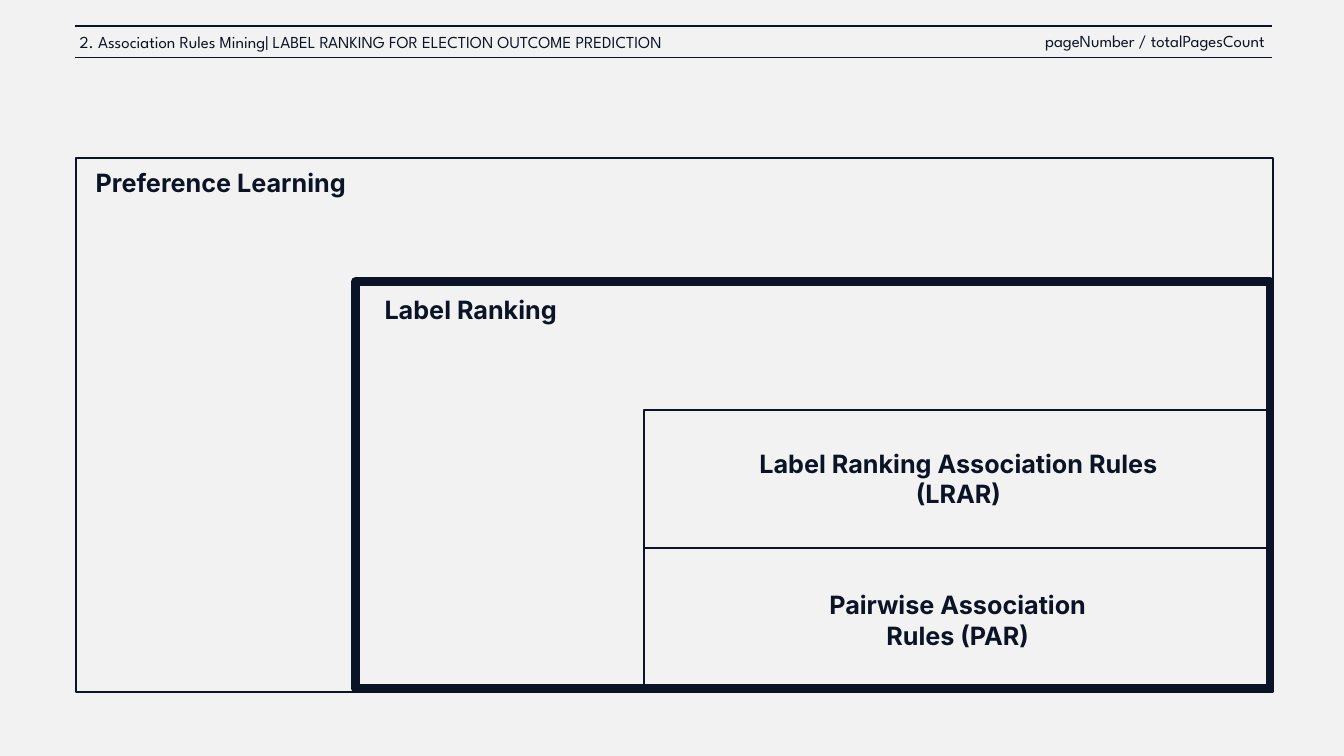
from lxml import etree
from pptx import Presentation
from pptx.dml.color import RGBColor
from pptx.enum.shapes import MSO_CONNECTOR, MSO_SHAPE
from pptx.enum.text import MSO_ANCHOR, PP_ALIGN
from pptx.oxml.ns import qn
from pptx.util import Pt

NAVY = RGBColor(0x0A, 0x14, 0x26)
PAPER = RGBColor(0xF2, 0xF2, 0xF2)
LEFT, CENTER, RIGHT = PP_ALIGN.LEFT, PP_ALIGN.CENTER, PP_ALIGN.RIGHT
TOP = MSO_ANCHOR.TOP
RECTANGLE = MSO_SHAPE.RECTANGLE
STRAIGHT = MSO_CONNECTOR.STRAIGHT
BLANK_LAYOUT = 6

HEADER_FONT = {"name": "League Spartan", "size": Pt(12), "bold": False}
LABEL_FONT = {"name": "Inter", "size": Pt(18), "bold": True}


def add_text(slide, text, box, font_format, alignment):
    text_box = slide.shapes.add_textbox(*map(Pt, box))
    frame = text_box.text_frame
    frame.word_wrap = True
    frame.vertical_anchor = TOP
    paragraph = frame.paragraphs[0]
    paragraph.alignment = alignment
    run = paragraph.add_run()
    run.text = text
    for attribute, value in font_format.items():
        setattr(run.font, attribute, value)
    run.font.color.rgb = NAVY


def add_rule(slide, left, right, y):
    rule = slide.shapes.add_connector(STRAIGHT, Pt(left), Pt(y), Pt(right), Pt(y))
    rule.line.color.rgb = NAVY
    rule.line.width = Pt(1)
    etree.SubElement(rule._element.spPr, qn("a:effectLst"))


def add_frame(slide, box, line_width):
    frame = slide.shapes.add_shape(RECTANGLE, *map(Pt, box))
    frame.shadow.inherit = False
    frame.fill.background()
    frame.line.color.rgb = NAVY
    frame.line.width = Pt(line_width)


def add_header(slide, box):
    """Section name and page count between two rules."""
    left, top, width, height = box
    for y in (top, top + height):
        add_rule(slide, left, left + width, y)
    add_text(slide,
             "2. Association Rules Mining| LABEL RANKING FOR ELECTION OUTCOME PREDICTION",
             (left - 3.5, top + 0.7, 678, 21.6), HEADER_FONT, LEFT)
    add_text(slide, "pageNumber / totalPagesCount",
             (left + width - 363, top, 365, 21.6), HEADER_FONT, RIGHT)


def add_nested_fields(slide, box):
    """Frames nested towards the bottom right corner, each with its label."""
    left, top, width, height = box

    # Frames: left and top offsets, right and bottom gaps, line width
    frames = [
        (0, 0, 0, 0, 1.5),
        (200, 88, 2, 2.7, 6),
        (406, 180, 0.7, 2.2, 1.5),
        (406, 278.7, 0.7, 2.2, 1.5),
    ]
    for x, y, right_gap, bottom_gap, line_width in frames:
        add_frame(slide, (left + x, top + y, width - x - right_gap,
                          height - y - bottom_gap), line_width)

    # Labels: left and top offsets, width, height
    labels = [
        ("Preference Learning", -4.3, 2.9, 216, 29),
        ("Label Ranking", 201.6, 93.6, 161.3, 29),
        ("Label Ranking Association Rules (LRAR)", 478, 203.8, 305.3, 51),
        ("Pairwise Association Rules (PAR)", 507, 304.6, 246.2, 51),
    ]
    for text, x, y, label_width, label_height in labels:
        add_text(slide, text, (left + x, top + y, label_width, label_height),
                 LABEL_FONT, CENTER)


presentation = Presentation()
presentation.slide_width, presentation.slide_height = Pt(960), Pt(540)
slide = presentation.slides.add_slide(presentation.slide_layouts[BLANK_LAYOUT])
slide.background.fill.solid()
slide.background.fill.fore_color.rgb = PAPER

add_header(slide, (53.3, 18.7, 855.3, 22.2))
add_nested_fields(slide, (54, 113, 855.3, 381.6))

presentation.save("out.pptx")
